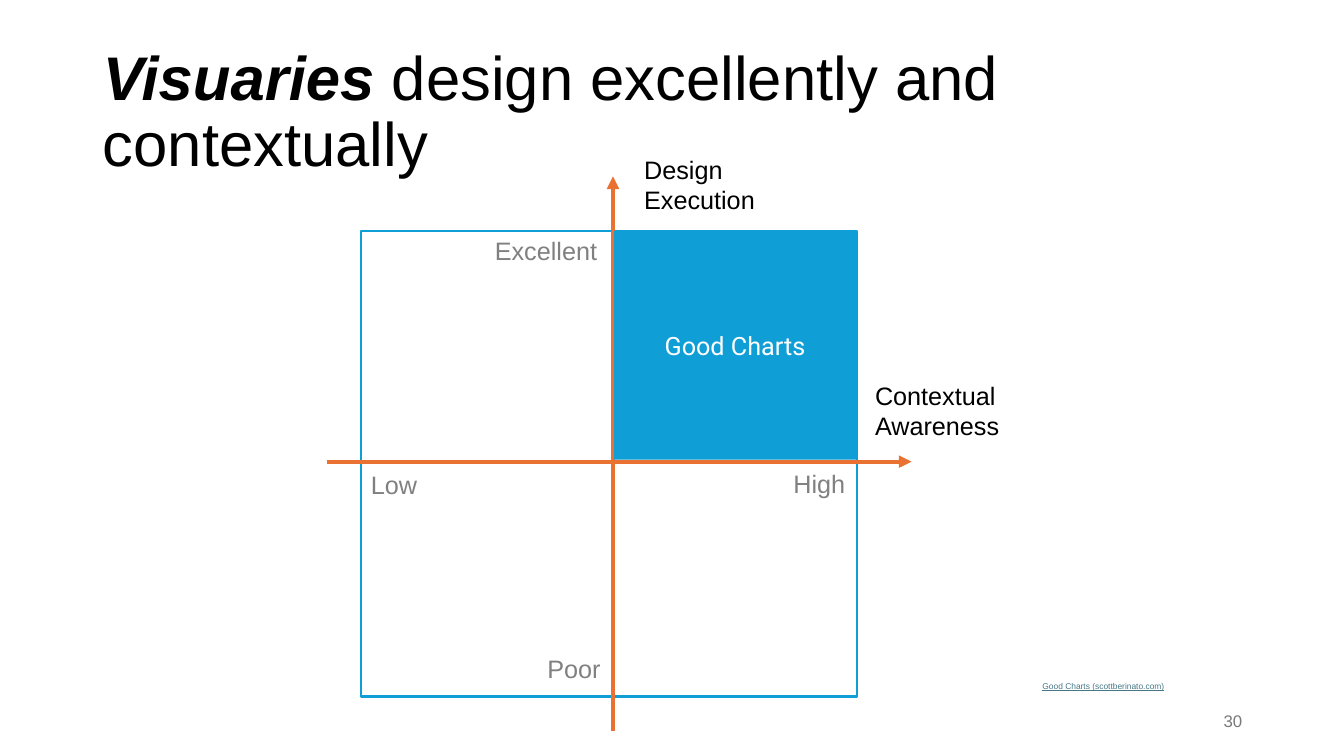
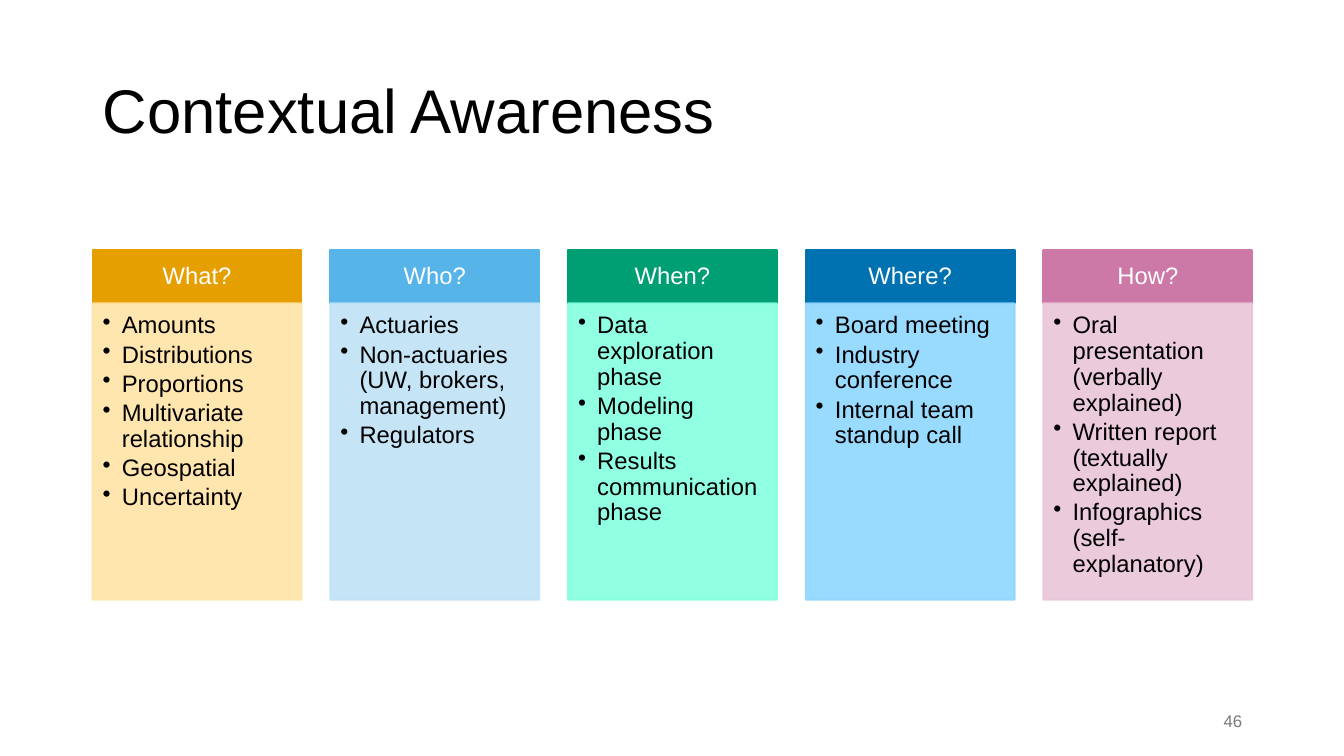
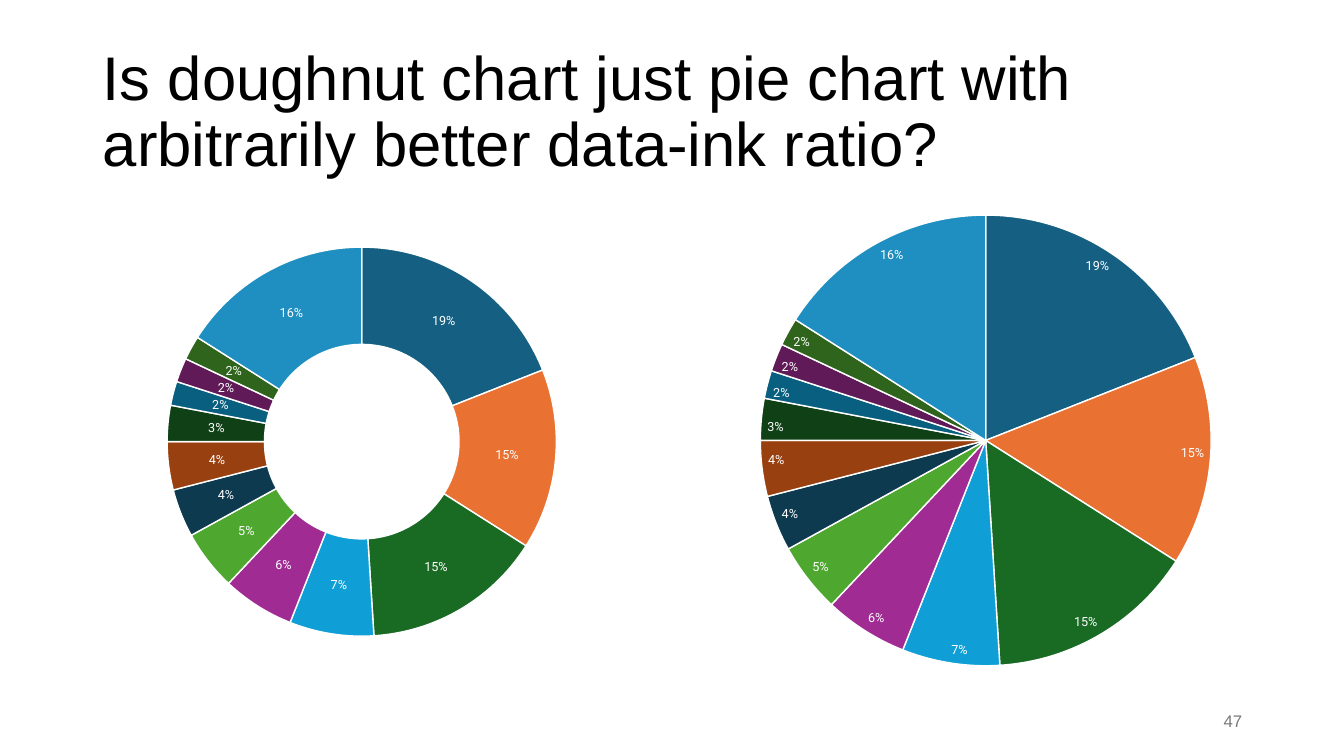
from dataclasses import dataclass

from pptx import Presentation
from pptx.chart.data import CategoryChartData
from pptx.dml.color import RGBColor
from pptx.enum.chart import XL_CHART_TYPE as Chart, XL_LABEL_POSITION as LabelPos
from pptx.enum.shapes import MSO_CONNECTOR as Connector, MSO_SHAPE as Shape
from pptx.enum.text import MSO_ANCHOR as Anchor, MSO_AUTO_SIZE as AutoSize, PP_ALIGN as Align
from pptx.oxml import parse_xml
from pptx.oxml.ns import nsdecls
from pptx.util import Inches, Pt


@dataclass(frozen=True)
class Theme:
    font: str = "Arial"
    chart_font: str = "Roboto"
    text: str = "000000"
    white: str = "FFFFFF"
    muted: str = "808080"
    number: str = "797979"
    link: str = "467886"
    blue: str = "0F9ED5"
    orange: str = "E97132"
    title_size: float = 44
    body_size: float = 18
    card_size: float = 17
    number_size: float = 12
    chart_size: float = 10
    label_size: float = 9
    source_size: float = 6


T = Theme()
LEFT, WIDTH = 0.92, 11.5

# Each title is a list of (text, emphasised) runs
SLIDES = [
    ("30", [("Visuaries ", True), ("design excellently and contextually", False)]),
    ("46", [("Contextual Awareness", False)]),
    ("47", [("Is doughnut chart just pie chart with arbitrarily better data-ink ratio?", False)]),
]

# text lines, colour, box, wrap
MATRIX_LABELS = [
    (["High"], T.muted, (7.77, 4.6, 0.72, 0.4), False),
    (["Low"], T.muted, (3.58, 4.61, 0.66, 0.4), False),
    (["Poor"], T.muted, (5.33, 6.43, 0.73, 0.4), False),
    (["Excellent"], T.muted, (4.81, 2.29, 1.23, 0.4), False),
    (["Design Execution"], T.text, (6.29, 1.48, 1.48, 0.71), True),
    (["Contextual", "Awareness"], T.text, (8.58, 3.72, 1.52, 0.71), False),
]
AXES = [((3.24, 4.58), (9.04, 4.58)), ((6.08, 7.25), (6.08, 1.75))]
SOURCE = "Good Charts (scottberinato.com)"

# heading, heading colour, body colour, bullets
CARDS = [
    ("What?", "E69F00", "FFE4A7", ["Amounts", "Distributions", "Proportions",
                                   "Multivariate relationship", "Geospatial", "Uncertainty"]),
    ("Who?", "56B4E9", "BFE3F7", ["Actuaries", "Non-actuaries (UW, brokers, management)",
                                  "Regulators"]),
    ("When?", "009E73", "85FFDF", ["Data exploration phase", "Modeling phase",
                                   "Results communication phase"]),
    ("Where?", "0072B2", "8FD7FF", ["Board meeting", "Industry conference",
                                    "Internal team standup call"]),
    ("How?", "CC79A7", "E9C5D9", ["Oral presentation (verbally explained)",
                                  "Written report (textually explained)",
                                  "Infographics (self-explanatory)"]),
]

SLICES = [
    (0.19, "156082"), (0.15, "E97132"), (0.15, "196B24"), (0.07, "0F9ED5"), (0.06, "A02B93"),
    (0.05, "4EA72E"), (0.04, "0D3A4E"), (0.04, "994010"), (0.03, "0F4016"), (0.02, "095F80"),
    (0.02, "601A58"), (0.02, "2F641C"), (0.16, "1F8EC0"),
]
# type, box, plot area as fractions of the box, label position
CHARTS = [
    (Chart.DOUGHNUT, (LEFT, 2, WIDTH, 4.76), (0.064, 0.095, 0.336, 0.811), None),
    (Chart.PIE, (6.92, 2, 5.5, 4.76), (0.113, 0.028, 0.813, 0.94), LabelPos.INSIDE_END),
]


def rgb(color):
    return RGBColor.from_string(color)


def inches(values):
    return [Inches(v) for v in values]


def style(font, size, color=T.text, name=T.font, **extra):
    for key, value in dict(size=Pt(size), name=name, **extra).items():
        setattr(font, key, value)
    font.color.rgb = rgb(color)


def set_text(sp, lines, size, color=T.text, name=T.font, align=Align.LEFT, **frame):
    """Write one paragraph per line; frame holds text frame attributes."""
    tf = sp.text_frame
    for key, value in {"word_wrap": True, **frame}.items():
        setattr(tf, key, value)
    for i, line in enumerate(lines):
        p = tf.add_paragraph() if i else tf.paragraphs[0]
        p.alignment = align
        r = p.add_run()
        r.text = line
        style(r.font, size, color, name)
    return tf


def add_rect(s, box, fill=None, line=None):
    sp = s.shapes.add_shape(Shape.RECTANGLE, *inches(box))
    sp.shadow.inherit = False
    for color, paint in ((fill, sp.fill), (line, sp.line.fill)):
        if color:
            paint.solid()
            paint.fore_color.rgb = rgb(color)
        else:
            paint.background()
    if line:
        sp.line.width = Pt(1.5)
    return sp


def add_label(s, lines, box, size, color, **options):
    sp = s.shapes.add_textbox(*inches(box))
    return set_text(sp, lines, size, color, **options)


def add_slide(prs, number, title):
    s = prs.slides.add_slide(prs.slide_layouts[5])
    sp = s.shapes.title
    sp.left, sp.top, sp.width, sp.height = inches((LEFT, 0.4, WIDTH, 1.45))
    tf = sp.text_frame
    tf.word_wrap, tf.auto_size, tf.vertical_anchor = True, AutoSize.NONE, Anchor.MIDDLE
    p = tf.paragraphs[0]
    p.alignment, p.line_spacing = Align.LEFT, 0.9
    for text, strong in title:
        r = p.add_run()
        r.text = text
        style(r.font, T.title_size, bold=strong, italic=strong)
    add_label(s, [number], (9.42, 6.95, 3, 0.4), T.number_size, T.number,
              align=Align.RIGHT, vertical_anchor=Anchor.MIDDLE)
    return s


def add_axis(s, start, end):
    axis = s.shapes.add_connector(Connector.STRAIGHT, *inches(start + end))
    axis.line.color.rgb = rgb(T.orange)
    axis.line.width = Pt(3)
    axis.line._get_or_add_ln().append(parse_xml(f'<a:tailEnd {nsdecls("a")} type="triangle"/>'))
    axis._element.spPr.append(parse_xml(f'<a:effectLst {nsdecls("a")}/>'))


def draw_matrix(s):
    add_rect(s, (3.58, 2.29, 4.92, 4.62), line=T.blue)
    for start, end in AXES:
        add_axis(s, start, end)
    for lines, color, box, wrap in MATRIX_LABELS:
        add_label(s, lines, box, T.body_size, color, word_wrap=wrap,
                  auto_size=AutoSize.SHAPE_TO_FIT_TEXT)
    good = add_rect(s, (6.09, 2.29, 2.4, 2.27), fill=T.blue)
    set_text(good, ["Good Charts"], T.body_size, T.white, T.chart_font, Align.CENTER,
             vertical_anchor=Anchor.MIDDLE)
    tf = add_label(s, [SOURCE], (10.24, 6.71, 1.48, 0.2), T.source_size, T.link,
                   auto_size=AutoSize.SHAPE_TO_FIT_TEXT)
    tf.paragraphs[0].runs[0].font.underline = True


def margins(*sides):
    names = ("margin_left", "margin_top", "margin_right", "margin_bottom")
    return dict(zip(names, inches(sides)))


def add_bullet(p):
    pPr = p._p.get_or_add_pPr()
    indent = Inches(0.19)
    pPr.set("marL", str(indent))
    pPr.set("indent", str(-indent))
    pPr.append(parse_xml(f'<a:buChar {nsdecls("a")} char="•"/>'))


def draw_cards(s):
    width, top, head_h, body_h = 2.07, 2.48, 0.53, 2.94
    pitch = (WIDTH - width) / (len(CARDS) - 1)
    for i, (heading, dark, light, bullets) in enumerate(CARDS):
        x = LEFT + i * pitch
        head = add_rect(s, (x, top, width, head_h), dark, dark)
        tf = set_text(head, [heading], T.card_size, T.white, align=Align.CENTER,
                      vertical_anchor=Anchor.MIDDLE, **margins(0.13, 0.08, 0.13, 0.08))
        tf.paragraphs[0].line_spacing = 0.9

        body = add_rect(s, (x, top + head_h, width, body_h), light, light)
        for color in body._element.spPr.xpath(".//a:srgbClr"):
            color.append(parse_xml(f'<a:alpha {nsdecls("a")} val="90000"/>'))
        tf = set_text(body, bullets, T.card_size, vertical_anchor=Anchor.TOP,
                      **margins(0.1, 0.1, 0.13, 0.15))
        for p in tf.paragraphs:
            add_bullet(p)
            p.line_spacing, p.space_after = 0.9, Pt(2.5)


def set_plot_area(chart, fractions):
    area = chart.element.xpath("c:chart/c:plotArea")[0]
    for old in area.xpath("c:layout"):
        area.remove(old)
    sizes = "".join(f'<c:{k} val="{v}"/>' for k, v in zip("xywh", fractions))
    area.insert(0, parse_xml(
        f'<c:layout {nsdecls("c")}><c:manualLayout><c:layoutTarget val="inner"/>'
        f'<c:xMode val="edge"/><c:yMode val="edge"/>{sizes}</c:manualLayout></c:layout>'))


def draw_charts(s):
    data = CategoryChartData(number_format="0%")
    data.categories = [str(i + 1) for i in range(len(SLICES))]
    data.add_series("Series 1", [value for value, _ in SLICES])
    for kind, box, fractions, position in CHARTS:
        chart = s.shapes.add_chart(kind, *inches(box), data).chart
        chart.has_legend = chart.has_title = False
        style(chart.font, T.chart_size, T.white, T.chart_font)
        set_plot_area(chart, fractions)
        plot = chart.plots[0]
        plot.vary_by_categories = True
        for i, (_, color) in enumerate(SLICES):
            fmt = plot.series[0].points[i].format
            fmt.fill.solid()
            fmt.fill.fore_color.rgb = rgb(color)
            fmt.line.color.rgb = rgb(T.white)
            fmt.line.width = Pt(1)
        labels = plot.series[0].data_labels
        label_format = dict(show_value=True, show_percentage=False, show_category_name=False,
                            number_format="0%", number_format_is_linked=False)
        if position is not None:
            label_format["position"] = position
        for key, value in label_format.items():
            setattr(labels, key, value)
        style(labels.font, T.label_size, T.white, T.chart_font)


def main():
    prs = Presentation()
    prs.slide_width, prs.slide_height = inches((13.33, 7.5))
    for (number, title), draw in zip(SLIDES, (draw_matrix, draw_cards, draw_charts)):
        draw(add_slide(prs, number, title))
    prs.save("out.pptx")


if __name__ == "__main__":
    main()
